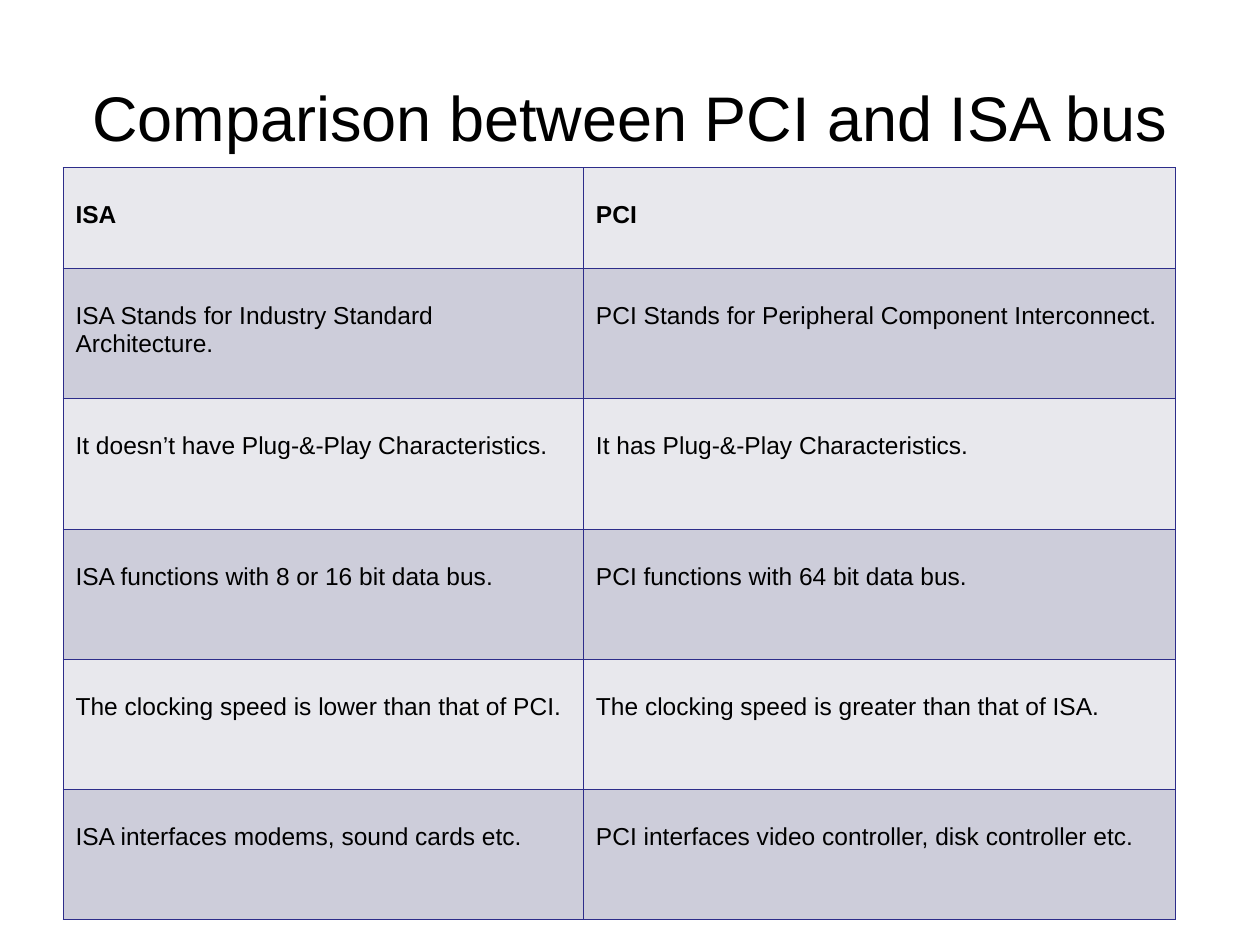
from dataclasses import dataclass

from lxml import etree
from pptx import Presentation
from pptx import util as u
from pptx.dml.color import RGBColor
from pptx.enum import text
from pptx.oxml import ns


@dataclass(frozen=True)
class Theme:
    font: str = "Arial"
    ink: str = "000000"
    border: str = "2D2D8A"
    border_width: float = 0.45
    bands: tuple = ("E8E8ED", "CDCDDA")
    title_size: int = 36
    body_size: int = 14


THEME = Theme()
WIDTH, HEIGHT = 10, 7.5
TITLE_BOX = (0.5, 0.3, 9, 1.25)
TABLE_BOX = (0.5, 1.33, 8.83, 5.97)
COLUMN_WIDTHS = (4.13, 4.7)
HEADER_HEIGHT = 0.8

TITLE = "Comparison between PCI and ISA bus"
COMPARISON = [
    ("ISA", "PCI"),
    ("ISA Stands for Industry Standard Architecture.",
     "PCI Stands for Peripheral Component Interconnect."),
    ("It doesn’t have Plug-&-Play Characteristics.",
     "It has Plug-&-Play Characteristics."),
    ("ISA functions with 8 or 16 bit data bus.",
     "PCI functions with 64 bit data bus."),
    ("The clocking speed is lower than that of PCI.",
     "The clocking speed is greater than that of ISA."),
    ("ISA interfaces modems, sound cards etc.",
     "PCI interfaces video controller, disk controller etc."),
]


def set_all(target, values):
    for name, value in values.items():
        setattr(target, name, value)


def write(frame, words, size, bold=False, align=text.PP_ALIGN.LEFT):
    para = frame.paragraphs[0]
    para.alignment = align
    span = para.add_run()
    span.text = words
    set_all(span.font, {"name": THEME.font, "size": u.Pt(size), "bold": bold})
    span.font.color.rgb = RGBColor.from_string(THEME.ink)


def draw_borders(cell):
    # Border lines must stand before the fill in the cell properties
    properties = cell._tc.get_or_add_tcPr()
    for index, side in enumerate("LRTB"):
        line = etree.Element(ns.qn(f"a:ln{side}"), w=str(u.Pt(THEME.border_width)))
        fill = etree.SubElement(line, ns.qn("a:solidFill"))
        etree.SubElement(fill, ns.qn("a:srgbClr"), val=THEME.border)
        properties.insert(index, line)


def add_title(page, box):
    frame = page.shapes.add_textbox(*map(u.Inches, box)).text_frame
    set_all(frame, {"word_wrap": True,
                    "vertical_anchor": text.MSO_ANCHOR.MIDDLE})
    write(frame, TITLE, THEME.title_size, align=text.PP_ALIGN.CENTER)


def add_comparison(page, box):
    table = page.shapes.add_table(len(COMPARISON), len(COLUMN_WIDTHS),
                                  *map(u.Inches, box)).table
    set_all(table, {"first_row": False, "horz_banding": False})

    # Grid: a shorter header, then equal rows
    for column, width in zip(table.columns, COLUMN_WIDTHS):
        column.width = u.Inches(width)
    body_height = (box[3] - HEADER_HEIGHT) / (len(COMPARISON) - 1)
    for index, row in enumerate(table.rows):
        row.height = u.Inches(body_height if index else HEADER_HEIGHT)

    # Cells: alternating bands, text set one line below the top
    margins = {"margin_left": u.Inches(0.1), "margin_right": u.Inches(0.1),
               "margin_top": u.Inches(0.27), "margin_bottom": u.Inches(0.05),
               "vertical_anchor": text.MSO_ANCHOR.TOP}
    for row_index, entries in enumerate(COMPARISON):
        for column_index, words in enumerate(entries):
            cell = table.cell(row_index, column_index)
            set_all(cell, margins)
            cell.fill.solid()
            cell.fill.fore_color.rgb = RGBColor.from_string(THEME.bands[row_index % 2])
            draw_borders(cell)
            write(cell.text_frame, words, THEME.body_size, bold=row_index == 0)


def main():
    deck = Presentation()
    set_all(deck, {"slide_width": u.Inches(WIDTH), "slide_height": u.Inches(HEIGHT)})
    page = deck.slides.add_slide(deck.slide_layouts[6])
    add_title(page, TITLE_BOX)
    add_comparison(page, TABLE_BOX)
    deck.save("out.pptx")


if __name__ == "__main__":
    main()
